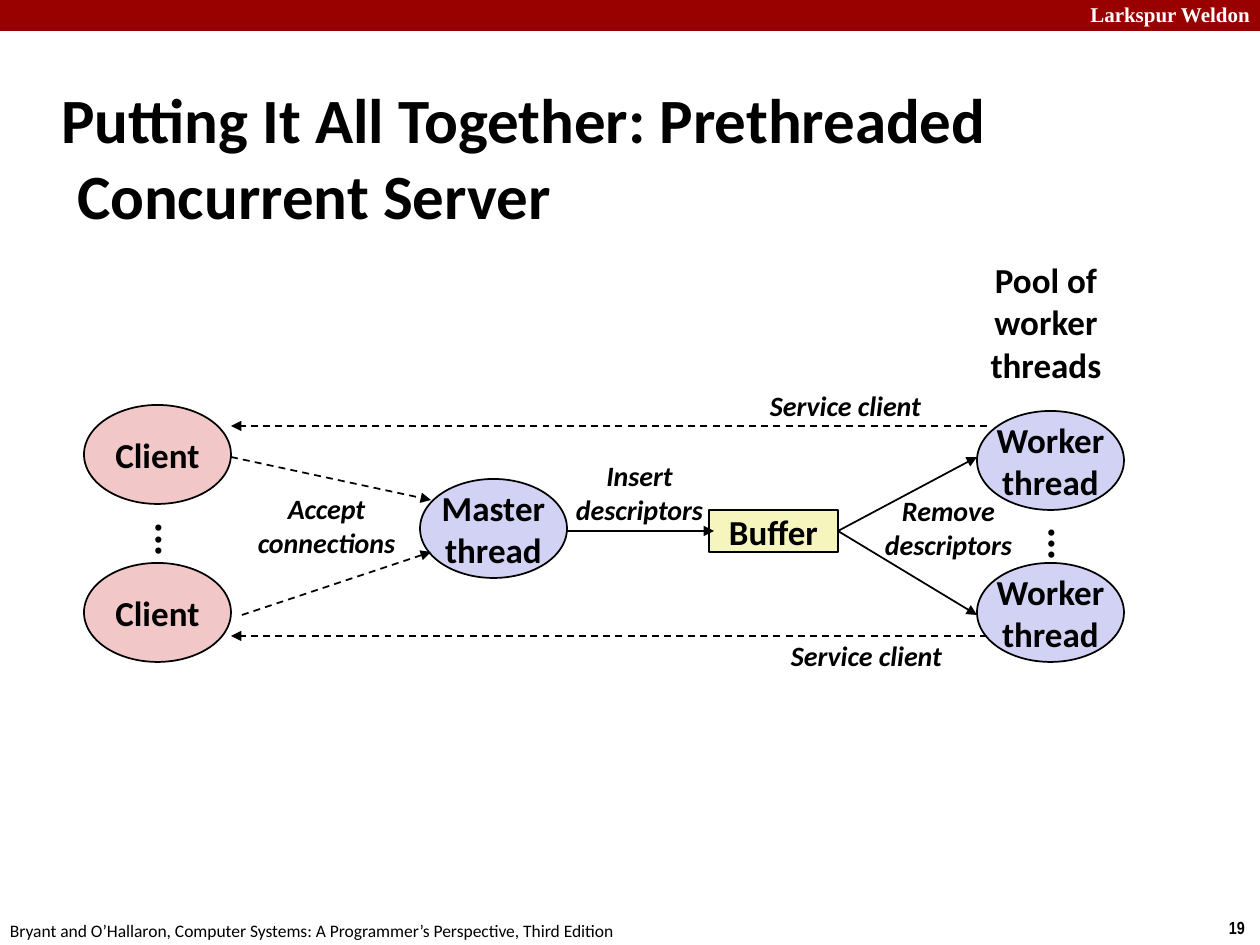
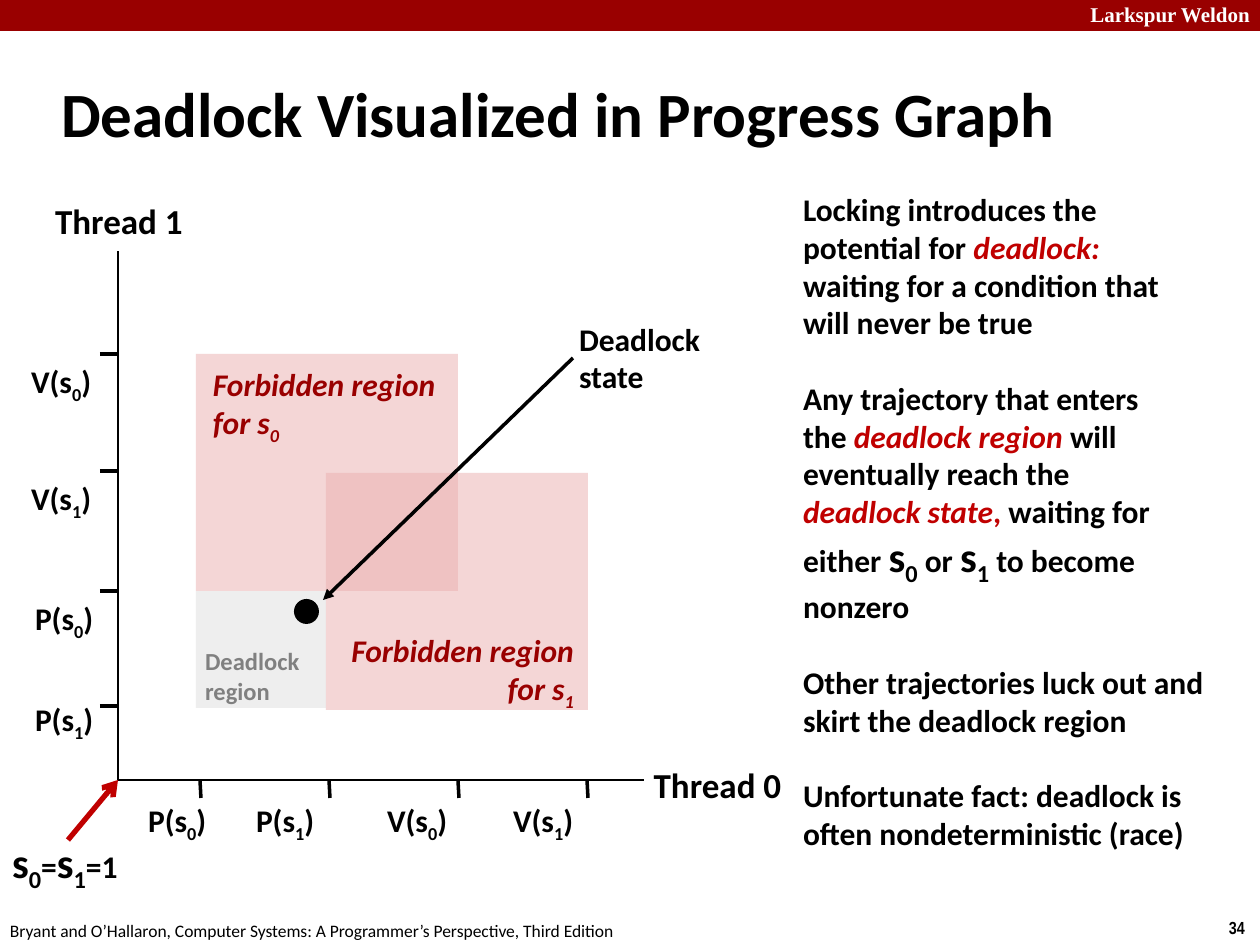
"""Build two lecture slides: a prethreaded server diagram and a deadlock progress graph."""
from dataclasses import dataclass, field

from lxml import etree
from pptx import Presentation
from pptx.dml.color import RGBColor
from pptx.enum.dml import MSO_LINE
from pptx.enum.shapes import MSO_CONNECTOR, MSO_SHAPE
from pptx.enum.text import MSO_ANCHOR, MSO_AUTO_SIZE, PP_ALIGN
from pptx.oxml.ns import qn
from pptx.util import Emu, Pt

RECT, OVAL = MSO_SHAPE.RECTANGLE, MSO_SHAPE.OVAL
STRAIGHT = MSO_CONNECTOR.STRAIGHT
LEFT, CENTER, RIGHT = PP_ALIGN.LEFT, PP_ALIGN.CENTER, PP_ALIGN.RIGHT
TOP, MIDDLE = MSO_ANCHOR.TOP, MSO_ANCHOR.MIDDLE
FIT, FIXED = MSO_AUTO_SIZE.SHAPE_TO_FIT_TEXT, MSO_AUTO_SIZE.NONE
DASH = MSO_LINE.DASH
TITLE_AND_BODY, TITLE_ONLY = 1, 5
EMU_PER_PX = 914400 / 126
INSET_X, INSET_Y = 12, 6


@dataclass(frozen=True)
class Theme:
    """Colours, fonts and type sizes shared by the slides."""
    black: str = "000000"
    white: str = "FFFFFF"
    band: str = "990000"
    accent: str = "C00000"
    thread: str = "D2D2F4"
    client: str = "F1C7C7"
    buffer: str = "F6F5BD"
    forbidden: str = "EBAFAF"
    region: str = "CCCCCC"
    muted: str = "808080"
    font: str = "Calibri"
    brand_font: str = "Times New Roman"
    number_font: str = "Arial Narrow"
    title: int = 36
    symbol: int = 24
    node: int = 20
    body: int = 18
    label: int = 16
    small: int = 14
    brand: int = 12
    footer: int = 10


T = Theme()


@dataclass(frozen=True)
class Box:
    """A rectangle in pixels."""
    x: int
    y: int
    w: int
    h: int


@dataclass(frozen=True)
class Run:
    """A piece of text and the format values that differ from its block."""
    text: str
    fmt: dict = field(default_factory=dict)


@dataclass(frozen=True)
class Label:
    """A text block: place, paragraphs, format values and layout."""
    box: Box
    paras: list
    fmt: dict = field(default_factory=dict)
    align: int = CENTER
    anchor: int = MIDDLE
    inset_y: int = INSET_Y
    vertical: bool = False


@dataclass(frozen=True)
class Node:
    """A filled shape with optional centred text."""
    box: Box
    fill: str
    paras: list = field(default_factory=list)
    kind: int = OVAL
    outline: bool = True
    alpha: int = 100


@dataclass(frozen=True)
class Line:
    """A straight line in pixels with an optional arrowhead at its end."""
    x1: int
    y1: int
    x2: int
    y2: int
    width: float = 1
    color: str = T.black
    head: str = ""
    dashed: bool = False


BASE = {"name": T.font, "size": T.body, "bold": True, "italic": False, "color": T.black}
NODE = {"size": T.node}
NOTE = {"size": T.label, "italic": True}
KEY = {"color": T.accent, "italic": True}
SUB = {"sub": True}
BIG = {"size": T.symbol}
BIG_SUB = BIG | SUB


def px(n: float) -> Emu:
    """Turn pixels into EMU."""
    return Emu(round(n * EMU_PER_PX))


def place(sp, box: Box) -> None:
    """Move and size a shape."""
    for name, n in {"left": box.x, "top": box.y, "width": box.w, "height": box.h}.items():
        setattr(sp, name, px(n))


def add_run(p, run: Run, fmt: dict) -> None:
    """Append a formatted run to a paragraph."""
    r = p.add_run()
    r.text = run.text
    values = BASE | fmt | run.fmt
    r.font.color.rgb = RGBColor.from_string(values.pop("color"))
    if values.pop("sub", False):
        r._r.get_or_add_rPr().set("baseline", "-25000")
    values["size"] = Pt(values["size"])
    for name, value in values.items():
        setattr(r.font, name, value)


def write(tf, paras: list, fmt: dict, align: int) -> None:
    """Fill a text frame; each paragraph is a string or a list of runs."""
    for i, para in enumerate(paras):
        p = tf.add_paragraph() if i else tf.paragraphs[0]
        p.alignment = align
        for run in [Run(para)] if isinstance(para, str) else para:
            add_run(p, run, fmt)


def frame(tf, inset_y: int, **values) -> None:
    """Set the margins and layout of a text frame."""
    values |= {"margin_left": px(INSET_X), "margin_right": px(INSET_X),
               "margin_top": px(inset_y), "margin_bottom": px(inset_y)}
    for name, value in values.items():
        setattr(tf, name, value)


def add_label(slide, label: Label) -> None:
    """Draw a text box."""
    sp = slide.shapes.add_textbox(0, 0, 0, 0)
    tf = sp.text_frame
    frame(tf, label.inset_y, word_wrap=False, auto_size=FIT, vertical_anchor=label.anchor)
    if label.vertical:
        tf._txBody.bodyPr.set("vert", "eaVert")
    write(tf, label.paras, label.fmt, label.align)
    place(sp, label.box)


def add_node(slide, node: Node) -> None:
    """Draw a filled shape."""
    sp = slide.shapes.add_shape(node.kind, 0, 0, 0, 0)
    place(sp, node.box)
    sp.shadow.inherit = False
    sp.fill.solid()
    sp.fill.fore_color.rgb = RGBColor.from_string(node.fill)
    if node.alpha < 100:
        color = sp._element.spPr.find(qn("a:solidFill"))[0]
        etree.SubElement(color, qn("a:alpha")).set("val", str(node.alpha * 1000))
    if node.outline:
        sp.line.color.rgb = RGBColor.from_string(T.black)
        sp.line.width = Pt(1)
    else:
        sp.line.fill.background()
    if node.paras:
        frame(sp.text_frame, 0, word_wrap=False, vertical_anchor=MIDDLE)
        write(sp.text_frame, node.paras, NODE, CENTER)


def add_line(slide, line: Line) -> None:
    """Draw a line or an arrow."""
    ends = [px(n) for n in (line.x1, line.y1, line.x2, line.y2)]
    sp = slide.shapes.add_connector(STRAIGHT, *ends)
    sp.line.color.rgb = RGBColor.from_string(line.color)
    sp.line.width = Pt(line.width)
    if line.dashed:
        sp.line.dash_style = DASH
    if line.head:
        etree.SubElement(sp.line._get_or_add_ln(), qn("a:tailEnd")).set("type", line.head)
    etree.SubElement(sp._element.spPr, qn("a:effectLst"))


def add_slide(prs, layout: int, title: str, box: Box, number: str):
    """Add a slide with the shared band, footers and title."""
    slide = prs.slides.add_slide(prs.slide_layouts[layout])
    sp = slide.shapes.title
    place(sp, box)
    frame(sp.text_frame, INSET_Y, word_wrap=True, auto_size=FIXED, vertical_anchor=MIDDLE)
    write(sp.text_frame, [title], {"size": T.title}, LEFT)
    pPr = sp.text_frame.paragraphs[0]._p.get_or_add_pPr()
    pPr.set("marL", str(px(16)))
    pPr.set("indent", str(px(-16)))
    add_node(slide, Node(Box(0, 0, 1260, 31), T.band, kind=RECT, outline=False))
    footer = "Bryant and O’Hallaron, Computer Systems: A Programmer’s Perspective, Third Edition"
    for label in (
        Label(Box(1062, -4, 200, 38), ["Larkspur Weldon"],
              {"name": T.brand_font, "size": T.brand, "color": T.white}, RIGHT, TOP),
        Label(Box(1217, 911, 43, 34), [number],
              {"name": T.number_font, "size": T.footer}, LEFT, TOP),
        Label(Box(-2, 914, 640, 34), [footer], {"size": T.footer, "bold": False}, LEFT, TOP),
    ):
        add_label(slide, label)
    return slide


def build_server(prs) -> None:
    """Build the prethreaded server diagram."""
    slide = add_slide(prs, TITLE_ONLY, "Putting It All Together: Prethreaded Concurrent Server",
                      Box(49, 81, 1179, 150), "19")
    worker = ["Worker", "thread"]
    for x, y, fill, paras in ((420, 479, T.thread, ["Master", "thread"]),
                              (977, 411, T.thread, worker), (977, 563, T.thread, worker),
                              (84, 405, T.client, ["Client"]), (84, 563, T.client, ["Client"])):
        add_node(slide, Node(Box(x, y, 147, 99), fill, paras))
    add_node(slide, Node(Box(709, 510, 129, 42), T.buffer, ["Buffer"], RECT))
    for ends in ((567, 531, 714, 531), (838, 531, 977, 457), (838, 531, 977, 615)):
        add_line(slide, Line(*ends, head="triangle"))
    for ends in ((231, 457, 431, 500), (242, 615, 431, 552),
                 (987, 426, 231, 426), (987, 636, 231, 636)):
        add_line(slide, Line(*ends, head="triangle", dashed=True))
    for box, paras in ((Box(241, 485, 171, 81), ["Accept", "connections"]),
                       (Box(559, 452, 161, 81), ["Insert", "descriptors"]),
                       (Box(868, 487, 161, 81), ["Remove", "descriptors"]),
                       (Box(753, 382, 185, 47), ["Service client"]),
                       (Box(774, 632, 185, 47), ["Service client"])):
        add_label(slide, Label(box, paras, NOTE))
    for box, align in ((Box(1027, 521, 77, 47), LEFT), (Box(134, 517, 77, 47), CENTER)):
        add_label(slide, Label(box, ["..."], BIG, align, vertical=True))
    add_label(slide, Label(Box(973, 252, 146, 140), ["Pool of", "worker", "threads"], NODE))


def build_deadlock(prs) -> None:
    """Build the deadlock progress graph."""
    slide = add_slide(prs, TITLE_AND_BODY, "Deadlock Visualized in Progress Graph",
                      Box(49, 60, 1046, 105), "34")
    fill_body(slide.placeholders[1])
    add_node(slide, Node(Box(196, 591, 130, 117), T.region, kind=RECT, outline=False, alpha=32))
    for x, y in ((196, 354), (326, 473)):
        add_node(slide, Node(Box(x, y, 262, 237), T.forbidden, kind=RECT, outline=False, alpha=50))
    add_node(slide, Node(Box(294, 599, 25, 25), T.black, outline=False))
    add_line(slide, Line(118, 780, 644, 780))
    add_line(slide, Line(118, 780, 118, 251))
    for box, text in ((Box(640, 757, 155, 55), "Thread 0"), (Box(42, 193, 154, 55), "Thread 1")):
        add_label(slide, Label(box, [text], NODE))
    for i, (op, sem, x) in enumerate((("P", "0", 136), ("P", "1", 244),
                                      ("V", "0", 375), ("V", "1", 501))):
        tick = 200 + 129 * i
        add_line(slide, Line(tick, 780, tick + 1, 798, 2))
        add_operation(slide, op, sem, x, 798)
    for op, sem, tick, x, y in (("P", "1", 706, 23, 697), ("P", "0", 591, 23, 596),
                                ("V", "1", 471, 19, 476), ("V", "0", 354, 19, 359)):
        add_line(slide, Line(100, tick, 117, tick, 2))
        add_operation(slide, op, sem, x, y)
    for box, sem, align in ((Box(201, 359, 266, 89), "0", LEFT),
                            (Box(320, 625, 266, 89), "1", RIGHT)):
        paras = ["Forbidden region", [Run("for s"), Run(sem, SUB)]]
        add_label(slide, Label(box, paras, {"color": T.band, "italic": True}, align, TOP))
    start = [Run("s", BIG), Run("0", BIG_SUB), Run("="), Run("s", BIG), Run("1", BIG_SUB), Run("=1")]
    for box, paras, fmt in (
        (Box(567, 319, 160, 77), ["Deadlock", "state"], {}),
        (Box(193, 646, 130, 59), ["Deadlock", "region"], {"size": T.small, "color": T.muted}),
        (Box(0, 840, 144, 50), [start], {}),
    ):
        add_label(slide, Label(box, paras, fmt, LEFT, inset_y=0))
    add_line(slide, Line(573, 358, 323, 600, 2, head="triangle"))
    add_line(slide, Line(68, 840, 118, 780, 3, T.accent, "arrow"))


def add_operation(slide, op: str, sem: str, x: int, y: int) -> None:
    """Label a tick with a semaphore operation."""
    add_label(slide, Label(Box(x, y, 96, 50), [[Run(f"{op}(s"), Run(sem, SUB), Run(")")]], align=LEFT))


def fill_body(sp) -> None:
    """Fill the body placeholder with four spaced, unbulleted groups."""
    groups = [
        ["Locking introduces the", [Run("potential for "), Run("deadlock:", KEY)],
         "waiting for a condition that will never be true"],
        ["Any trajectory that enters",
         [Run("the "), Run("deadlock region ", KEY), Run("will")], "eventually reach the",
         [Run("deadlock state", KEY), Run(", ", {"color": T.accent}), Run("waiting for either "),
          Run("s", BIG), Run("0", BIG_SUB), Run(" or "), Run("s", BIG), Run("1", BIG_SUB),
          Run(" to become nonzero")]],
        ["Other trajectories luck out and skirt the deadlock region"],
        ["Unfortunate fact: deadlock is often nondeterministic (race)"],
    ]
    place(sp, Box(791, 190, 428, 662))
    tf = sp.text_frame
    frame(tf, 0, word_wrap=True, auto_size=FIXED, vertical_anchor=TOP)
    write(tf, sum(groups, []), {}, LEFT)
    gaps = [Pt(21.5) if i and not j else Pt(0) for i, g in enumerate(groups) for j in range(len(g))]
    for p, gap in zip(tf.paragraphs, gaps):
        p.space_before = gap
        pPr = p._p.get_or_add_pPr()
        pPr.set("marL", "0")
        pPr.set("indent", "0")
        etree.SubElement(pPr, qn("a:buNone"))


prs = Presentation()
prs.slide_width, prs.slide_height = px(1260), px(945)
build_server(prs)
build_deadlock(prs)
prs.save("out.pptx")
